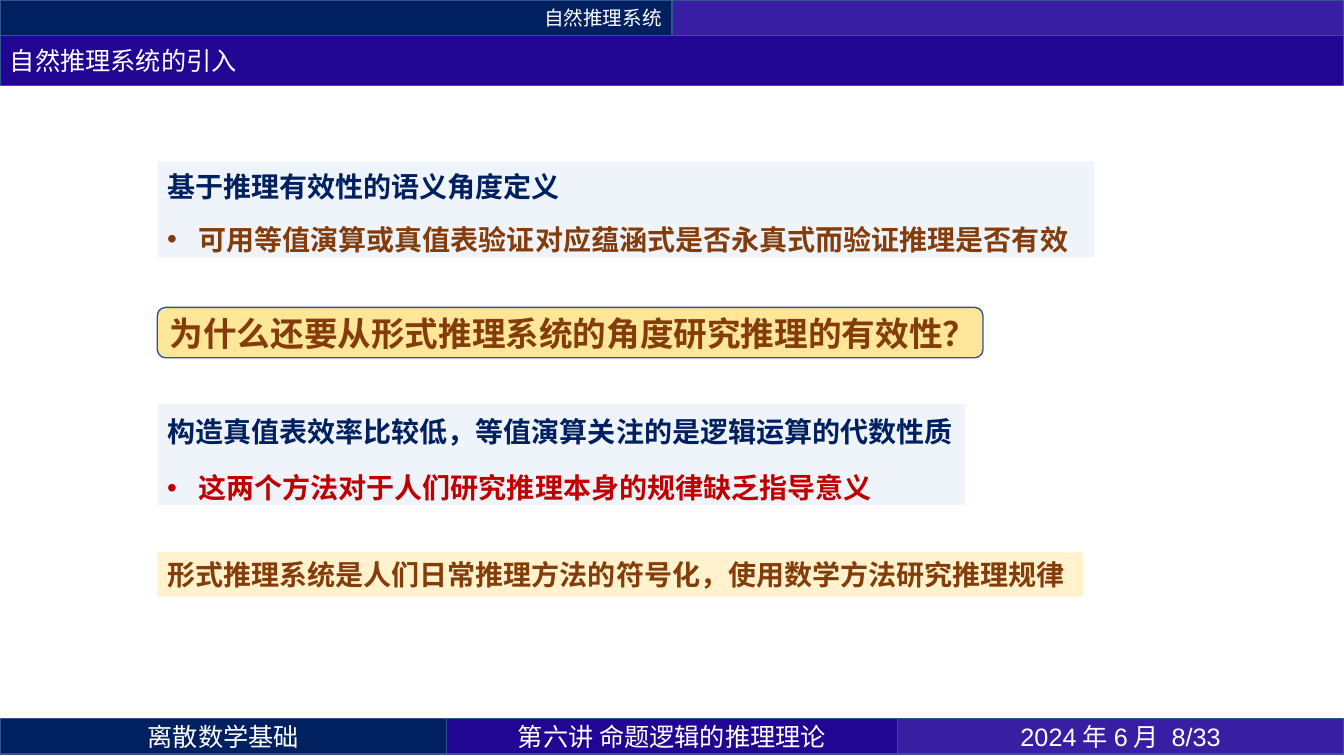
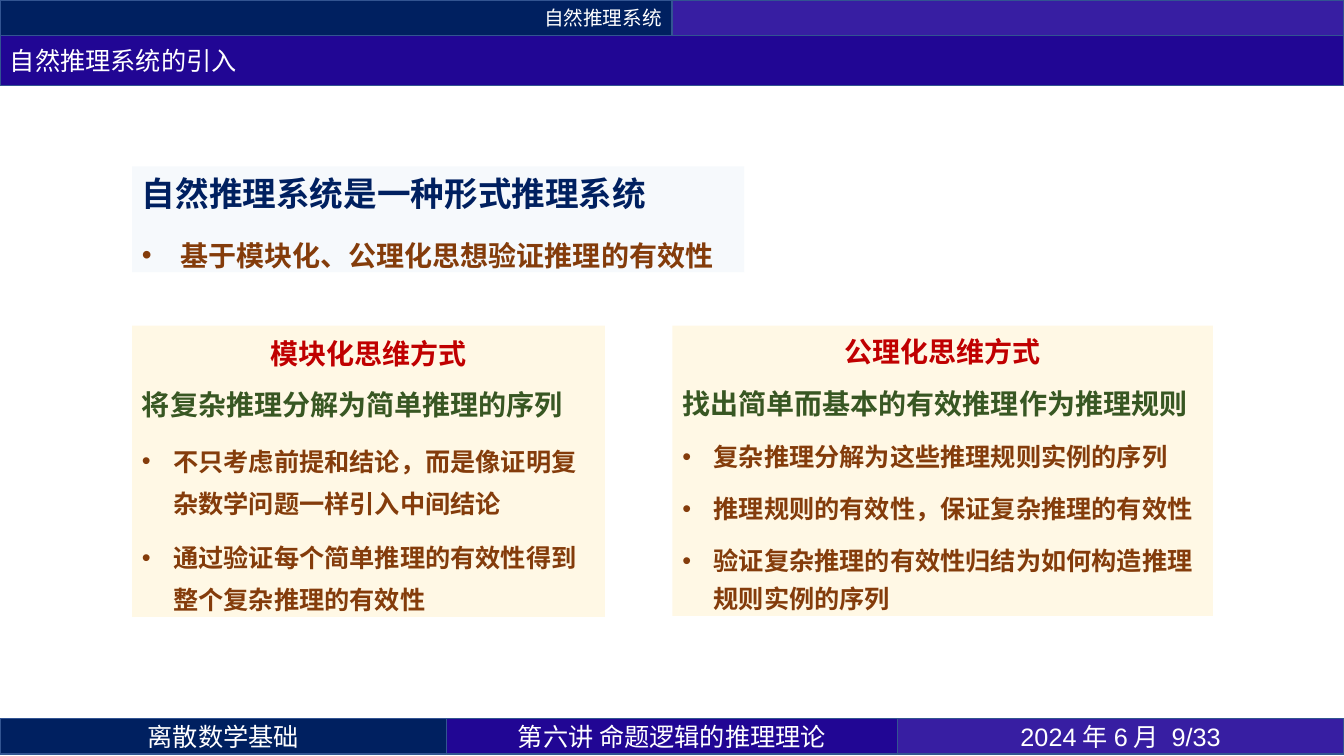
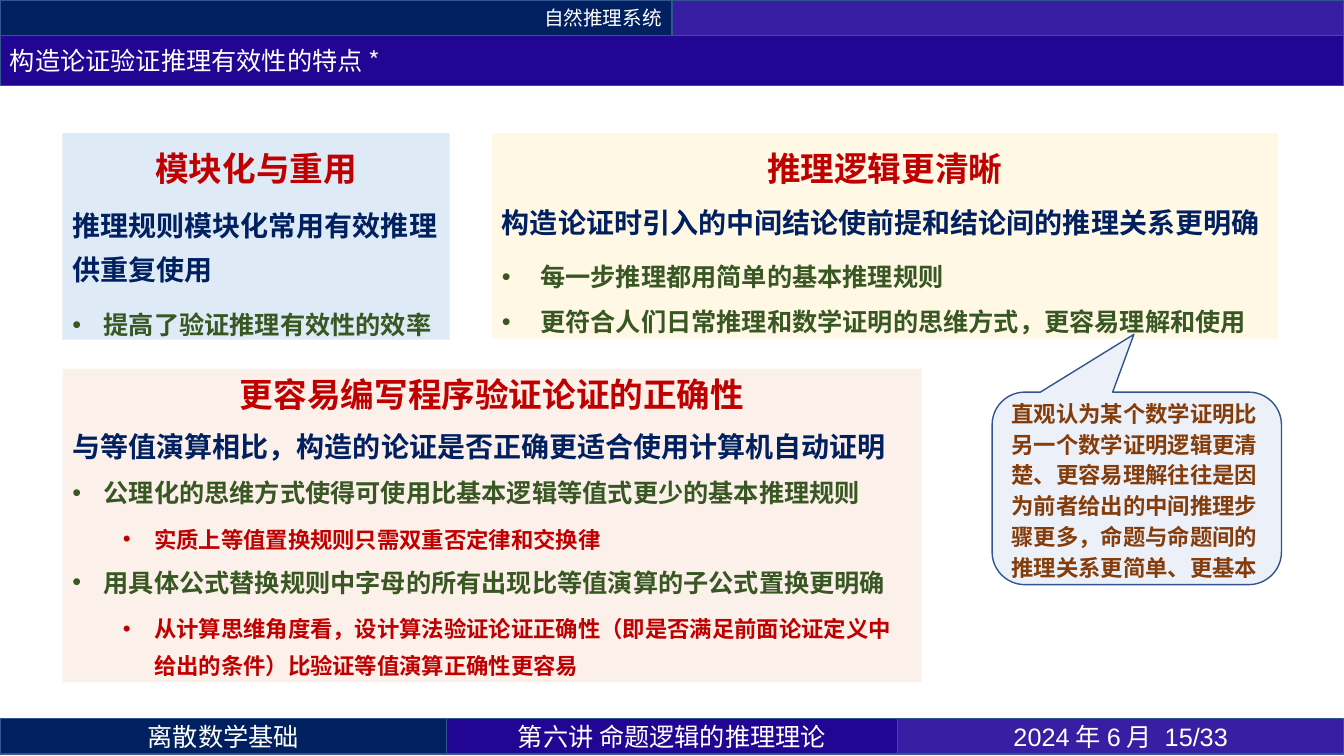
from lxml import etree
from pptx import Presentation
from pptx.dml.color import RGBColor
from pptx.enum.shapes import MSO_SHAPE
from pptx.enum.text import MSO_ANCHOR, MSO_AUTO_SIZE, PP_ALIGN
from pptx.oxml.ns import qn
from pptx.util import Inches, Pt

RECT = MSO_SHAPE.RECTANGLE
ROUNDED = MSO_SHAPE.ROUNDED_RECTANGLE
CALLOUT = MSO_SHAPE.ROUNDED_RECTANGULAR_CALLOUT
TOP, MIDDLE = MSO_ANCHOR.TOP, MSO_ANCHOR.MIDDLE
LEFT, CENTER, RIGHT = PP_ALIGN.LEFT, PP_ALIGN.CENTER, PP_ALIGN.RIGHT
GROW = MSO_AUTO_SIZE.SHAPE_TO_FIT_TEXT

CJK_FONT = "Noto Sans CJK SC"
LATIN_FONT = "Arial"
WIDTH, HEIGHT = 13.33, 7.5
BAND = 0.35
FOOTER_TOP = 7.13
FOOTER_SIDE = 4.43
PAGES = 33

COLOURS = {
    "white": "FFFFFF",
    "navy": "002060",
    "indigo": "210694",
    "violet": "371EA2",
    "outline": "325491",
    "brown": "843C0B",
    "red": "C00000",
    "green": "385723",
    "blue_tint": "DEEBF7",
    "callout_tint": "DAE3F3",
    "gold": "FFE699",
    "cream": "FFF2CC",
    "peach": "FBE5D6",
}


def rgb(colour):
    return RGBColor.from_string(COLOURS[colour])


def add_block(slide, box, colour, kind=RECT, opacity=100, outlined=True, anchor=MIDDLE):
    block = slide.shapes.add_shape(kind, *map(Inches, box))
    block.shadow.inherit = False
    block.fill.solid()
    block.fill.fore_color.rgb = rgb(colour)
    if opacity < 100:
        tint = block.fill._xPr.find(".//" + qn("a:srgbClr"))
        etree.SubElement(tint, qn("a:alpha"), val=str(opacity * 1000))
    if outlined:
        block.line.color.rgb = rgb("outline")
        block.line.width = Pt(1)
    else:
        block.line.fill.background()
    block.text_frame.word_wrap = True
    block.text_frame.vertical_anchor = anchor
    return block


def add_run(paragraph, text, size, colour, bold, font):
    run = paragraph.add_run()
    run.text = text
    run.font.size = Pt(size)
    run.font.bold = bold
    run.font.color.rgb = rgb(colour)
    run.font.name = font
    etree.SubElement(run.font._element, qn("a:ea"), typeface=CJK_FONT)


def add_bullet(paragraph, indent, level):
    properties = paragraph._p.get_or_add_pPr()
    properties.set("marL", str(Inches(indent + 0.5 * level)))
    properties.set("indent", str(-Inches(indent)))
    etree.SubElement(properties, qn("a:buFont"), typeface=LATIN_FONT)
    etree.SubElement(properties, qn("a:buChar"), char="•")
    paragraph.level = level


def write(block, text, size=18, colour="white", bold=False, font=CJK_FONT, align=LEFT,
          spacing=None, before=0, after=0, indent=0, level=0):
    frame = block.text_frame
    first = not frame.text
    paragraph = frame.paragraphs[0] if first else frame.add_paragraph()
    paragraph.alignment = align
    paragraph.space_before = Pt(0 if first else before)
    paragraph.space_after = Pt(after)
    if spacing:
        paragraph.line_spacing = Pt(spacing)
    if indent:
        add_bullet(paragraph, indent, level)
    add_run(paragraph, text, size, colour, bold, font)
    return paragraph


def heading(text, size=20, spacing=28):
    return dict(text=text, size=size, colour="red", align=CENTER, spacing=spacing)


def claim(text, spacing, colour="navy", size=20):
    return dict(text=text, size=size, colour=colour, spacing=spacing)


def point(text, spacing, colour="brown", size=18, indent=0.31, level=0):
    return dict(text=text, size=size, colour=colour, spacing=spacing, indent=indent, level=level)


def add_panel(slide, box, colour, lines, opacity=50, after=0):
    panel = add_block(slide, box, colour, opacity=opacity, outlined=False, anchor=TOP)
    panel.text_frame.auto_size = GROW
    for line in lines:
        write(panel, bold=True, before=6, after=after, **line)


def start_slide(deck, title, page, starred=False):
    slide = deck.slides.add_slide(deck.slide_layouts[6])
    half = WIDTH / 2
    section = add_block(slide, (0, 0, half, BAND), "navy")
    write(section, "自然推理系统", size=14, align=RIGHT)
    add_block(slide, (half, 0, half, BAND), "violet")

    middle = WIDTH - 2 * FOOTER_SIDE
    footers = [
        (FOOTER_SIDE, "navy", "离散数学基础", CJK_FONT),
        (middle, "indigo", "第六讲 命题逻辑的推理理论", CJK_FONT),
        (FOOTER_SIDE, "violet", f"2024年6月 \t{page}/{PAGES}", LATIN_FONT),
    ]
    left = 0
    for width, colour, text, font in footers:
        footer = add_block(slide, (left, FOOTER_TOP, width, BAND), colour)
        write(footer, text, font=font, align=CENTER)
        left += width

    title_band = add_block(slide, (0, BAND, WIDTH, 0.5), "indigo")
    heading_line = write(title_band, title)
    if starred:
        add_run(heading_line, "*", 18, "peach", False, CJK_FONT)
    return slide


def build_motivation(deck):
    slide = start_slide(deck, "自然推理系统的引入", 8)
    left = 1.56
    add_panel(slide, (left, 1.6, 9.29, 0.95), "blue_tint", [
        claim("基于推理有效性的语义角度定义", 26),
        point("可用等值演算或真值表验证对应蕴涵式是否永真式而验证推理是否有效", 26, size=20),
    ], after=6)
    question = add_block(slide, (left, 3.05, 8.19, 0.5), "gold", ROUNDED)
    write(question, "为什么还要从形式推理系统的角度研究推理的有效性？",
          size=24, colour="brown", bold=True)
    add_panel(slide, (left, 4.01, 8.01, 1), "blue_tint", [
        claim("构造真值表效率比较低，等值演算关注的是逻辑运算的代数性质", 28),
        point("这两个方法对于人们研究推理本身的规律缺乏指导意义", 28, "red", 20),
    ], after=6)
    add_panel(slide, (left, 5.48, 9.18, 0.44), "cream", [
        claim("形式推理系统是人们日常推理方法的符号化，使用数学方法研究推理规律", None, "brown"),
    ], opacity=100)


def build_ways_of_thinking(deck):
    slide = start_slide(deck, "自然推理系统的引入", 9)
    left, top = 1.31, 3.23
    add_panel(slide, (left, top, 4.69, 2.89), "cream", [
        heading("模块化思维方式"),
        claim("将复杂推理分解为简单推理的序列", 28, "green"),
        point("不只考虑前提和结论，而是像证明复杂数学问题一样引入中间结论", 30),
        point("通过验证每个简单推理的有效性得到整个复杂推理的有效性", 30),
    ], after=3)
    add_panel(slide, (left, 1.65, 6.07, 1.05), "blue_tint", [
        claim("自然推理系统是一种形式推理系统", 30, size=24),
        point("基于模块化、公理化思想验证推理的有效性", 30, size=20, indent=0.38),
    ], opacity=25, after=6)
    add_panel(slide, (6.67, top, 5.36, 2.88), "cream", [
        heading("公理化思维方式", spacing=27),
        claim("找出简单而基本的有效推理作为推理规则", 27, "green"),
        point("复杂推理分解为这些推理规则实例的序列", 27),
        point("推理规则的有效性，保证复杂推理的有效性", 27),
        point("验证复杂推理的有效性归结为如何构造推理规则实例的序列", 27),
    ], after=4)


def build_features(deck):
    slide = start_slide(deck, "构造论证验证推理有效性的特点", 15, starred=True)
    left, top = 0.62, 1.32
    add_panel(slide, (left, top, 3.84, 2.05), "blue_tint", [
        heading("模块化与重用", 24, 36),
        claim("推理规则模块化常用有效推理供重复使用", 32),
        point("提高了验证推理有效性的效率", 32, "green"),
    ], opacity=100)
    add_panel(slide, (4.88, top, 7.79, 2.04), "cream", [
        heading("推理逻辑更清晰", 24, 36),
        claim("构造论证时引入的中间结论使前提和结论间的推理关系更明确", 30),
        point("每一步推理都用简单的基本推理规则", 32, "green", indent=0.38),
        point("更符合人们日常推理和数学证明的思维方式，更容易理解和使用", 26, "green", indent=0.38),
    ])
    add_panel(slide, (left, 3.66, 8.52, 3.11), "peach", [
        heading("更容易编写程序验证论证的正确性", 24, 28.8),
        claim("与等值演算相比，构造的论证是否正确更适合使用计算机自动证明", 28.8),
        point("公理化的思维方式使得可使用比基本逻辑等值式更少的基本推理规则", 26, "green"),
        point("实质上等值置换规则只需双重否定律和交换律", 26, "red", 16, level=1),
        point("用具体公式替换规则中字母的所有出现比等值演算的子公式置换更明确", 26, "green"),
        point("从计算思维角度看，设计算法验证论证正确性（即是否满足前面论证定义中"
              "给出的条件）比验证等值演算正确性更容易", 26, "red", 16, level=1),
    ])
    remark = add_block(slide, (9.84, 3.89, 2.87, 1.91), "callout_tint", CALLOUT, opacity=50)
    for index, value in enumerate((-0.01, -0.8, 0.17)):
        remark.adjustments[index] = value
    write(remark, "直观认为某个数学证明比另一个数学证明逻辑更清楚、更容易理解往往是因为"
          "前者给出的中间推理步骤更多，命题与命题间的推理关系更简单、更基本",
          size=16, colour="brown", bold=True, spacing=22)


def main():
    deck = Presentation()
    deck.slide_width = Inches(WIDTH)
    deck.slide_height = Inches(HEIGHT)
    build_motivation(deck)
    build_ways_of_thinking(deck)
    build_features(deck)
    deck.save("out.pptx")


if __name__ == "__main__":
    main()
